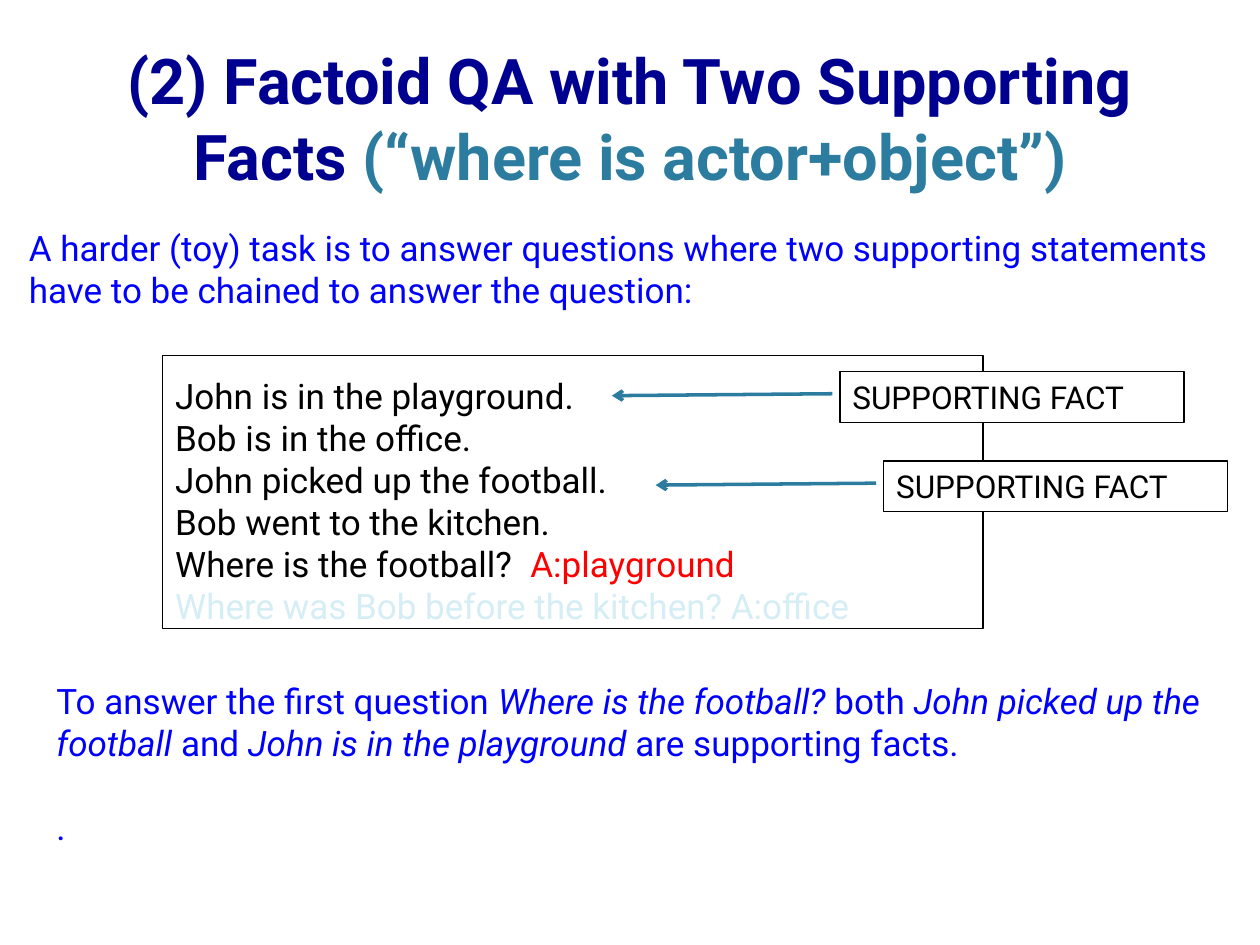
from lxml.etree import SubElement
from pptx import Presentation
from pptx.dml.color import RGBColor
from pptx.enum.shapes import MSO_CONNECTOR, MSO_SHAPE
from pptx.enum.text import MSO_ANCHOR, MSO_AUTO_SIZE, PP_ALIGN
from pptx.oxml.ns import qn
from pptx.util import Pt

FONT = "Roboto"
COLORS = {
    "navy": "000090",
    "teal": "2C7C9F",
    "blue": "0000FF",
    "black": "000000",
    "red": "FF0000",
    "pale": "D5EDF4",
    "white": "FFFFFF",
}
ANSWER_TAB = 203
BLANK_LINE = 24


def rgb(name):
    return RGBColor.from_string(COLORS[name])


def add_run(paragraph, text, size, color, bold=False, italic=False):
    run = paragraph.add_run()
    run.text = text
    run.font.name = FONT
    run.font.size = Pt(size)
    run.font.bold = bold
    run.font.italic = italic
    run.font.color.rgb = rgb(color)


def add_text_frame(slide, box):
    frame = slide.shapes.add_textbox(*map(Pt, box)).text_frame
    frame.word_wrap = True
    return frame


def add_outlined_box(slide, box, fill=None):
    outlined = slide.shapes.add_shape(MSO_SHAPE.RECTANGLE, *map(Pt, box))
    outlined.shadow.inherit = False
    if fill:
        outlined.fill.solid()
        outlined.fill.fore_color.rgb = rgb(fill)
    else:
        outlined.fill.background()
    outlined.line.color.rgb = rgb("black")
    outlined.line.width = Pt(0.75)
    frame = outlined.text_frame
    frame.word_wrap = True
    frame.vertical_anchor = MSO_ANCHOR.TOP
    frame.auto_size = MSO_AUTO_SIZE.SHAPE_TO_FIT_TEXT
    return frame


def add_title(slide, box):
    frame = add_text_frame(slide, box)
    frame.vertical_anchor = MSO_ANCHOR.BOTTOM
    heading = frame.paragraphs[0]
    heading.alignment = PP_ALIGN.CENTER
    add_run(heading, "(2) Factoid QA with Two Supporting Facts ", 36, "navy", bold=True)
    add_run(heading, "(“where is actor+object”)", 36, "teal", bold=True)


def add_introduction(slide, box):
    introduction = add_text_frame(slide, box).paragraphs[0]
    add_run(
        introduction,
        "A harder (toy) task is to answer questions where two supporting "
        "statements have to be chained to answer the question:",
        20,
        "blue",
    )


def add_story(slide, box):
    frame = add_outlined_box(slide, box)
    frame.margin_top, frame.margin_bottom = Pt(10.8), Pt(0)
    sentences = [
        [("John is in the playground.", "black")],
        [("Bob is in the office.", "black")],
        [("John picked up the football.", "black")],
        [("Bob went to the kitchen.", "black")],
        [("Where is the football?", "black"), ("\tA:playground", "red")],
        [("Where was Bob before the kitchen? A:office", "pale")],
    ]
    for index, parts in enumerate(sentences):
        sentence = frame.paragraphs[0] if index == 0 else frame.add_paragraph()
        sentence.alignment = PP_ALIGN.LEFT
        if len(parts) > 1:
            tabs = SubElement(sentence._p.get_or_add_pPr(), qn("a:tabLst"))
            SubElement(tabs, qn("a:tab"), pos=str(Pt(ANSWER_TAB)), algn="l")
        for text, color in parts:
            add_run(sentence, text, 20, color)


def add_explanation(slide, box):
    frame = add_text_frame(slide, box)
    explanation = frame.paragraphs[0]
    parts = [
        ("To answer the first question ", False),
        ("Where is the football? ", True),
        ("both ", False),
        ("John picked up the football", True),
        (" and ", False),
        ("John is in the playground ", True),
        ("are supporting facts.", False),
    ]
    for text, italic in parts:
        add_run(explanation, text, 20, "blue", italic=italic)
    closing = frame.add_paragraph()
    closing.space_before = Pt(BLANK_LINE)
    add_run(closing, ".", 20, "blue")


def add_supporting_fact(slide, box):
    left, top, width, height = box
    start = left - 4.3, top + 12.6
    end = left - 130.3, top + 13.7
    arrow = slide.shapes.add_connector(MSO_CONNECTOR.STRAIGHT, *map(Pt, start + end))
    arrow.line.color.rgb = rgb("teal")
    arrow.line.width = Pt(2)
    SubElement(arrow.line._get_or_add_ln(), qn("a:tailEnd"), type="arrow")
    SubElement(arrow._element.spPr, qn("a:effectLst"))

    label = add_outlined_box(slide, box, "white").paragraphs[0]
    label.alignment = PP_ALIGN.LEFT
    add_run(label, "SUPPORTING FACT", 18, "black")


def main():
    deck = Presentation()
    deck.slide_width, deck.slide_height = Pt(720), Pt(540)
    slide = deck.slides.add_slide(deck.slide_layouts[6])
    add_title(slide, (43.2, 8.6, 633.6, 105.1))
    add_introduction(slide, (9.4, 126, 710.6, 86.4))
    add_story(slide, (93, 203, 468.7, 156.2))
    add_explanation(slide, (25.2, 384.5, 681.8, 126))
    for left, top in [(480, 212.4), (505, 263.5)]:
        add_supporting_fact(slide, (left, top, 196.6, 29))
    deck.save("out.pptx")


if __name__ == "__main__":
    main()
